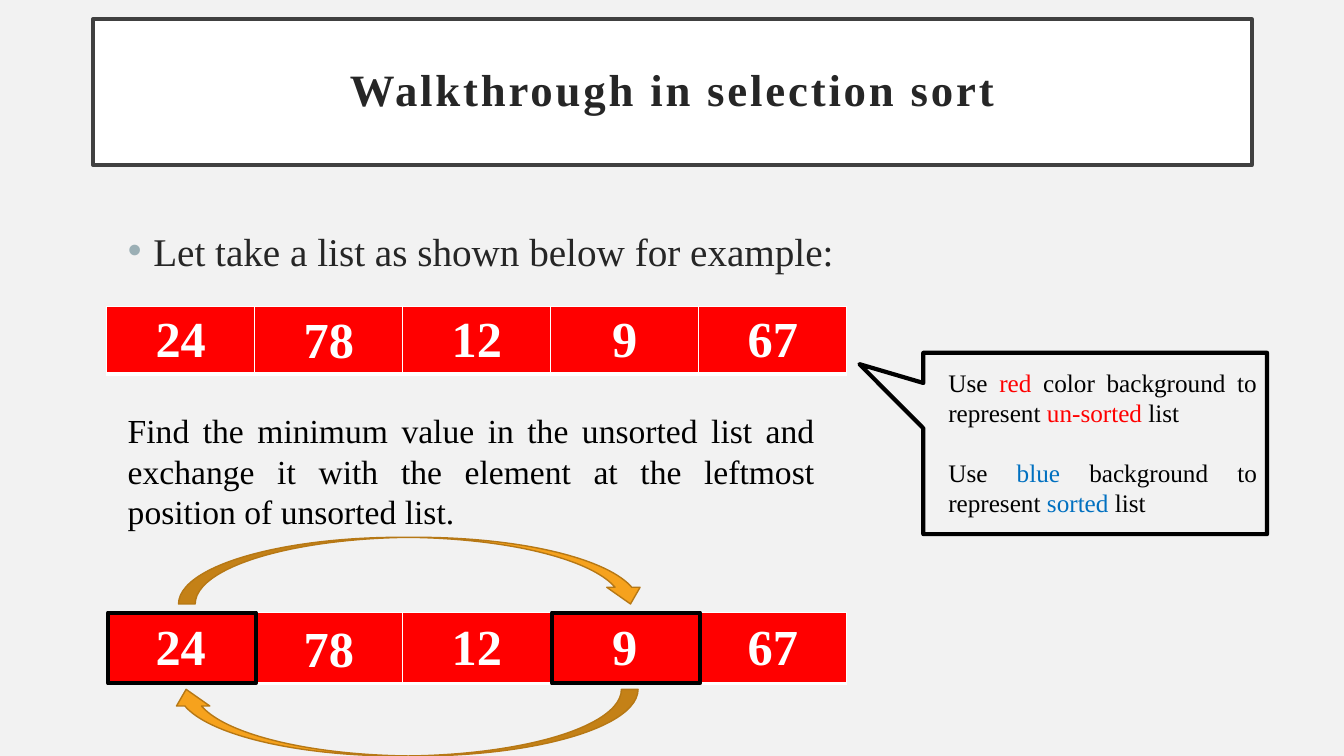
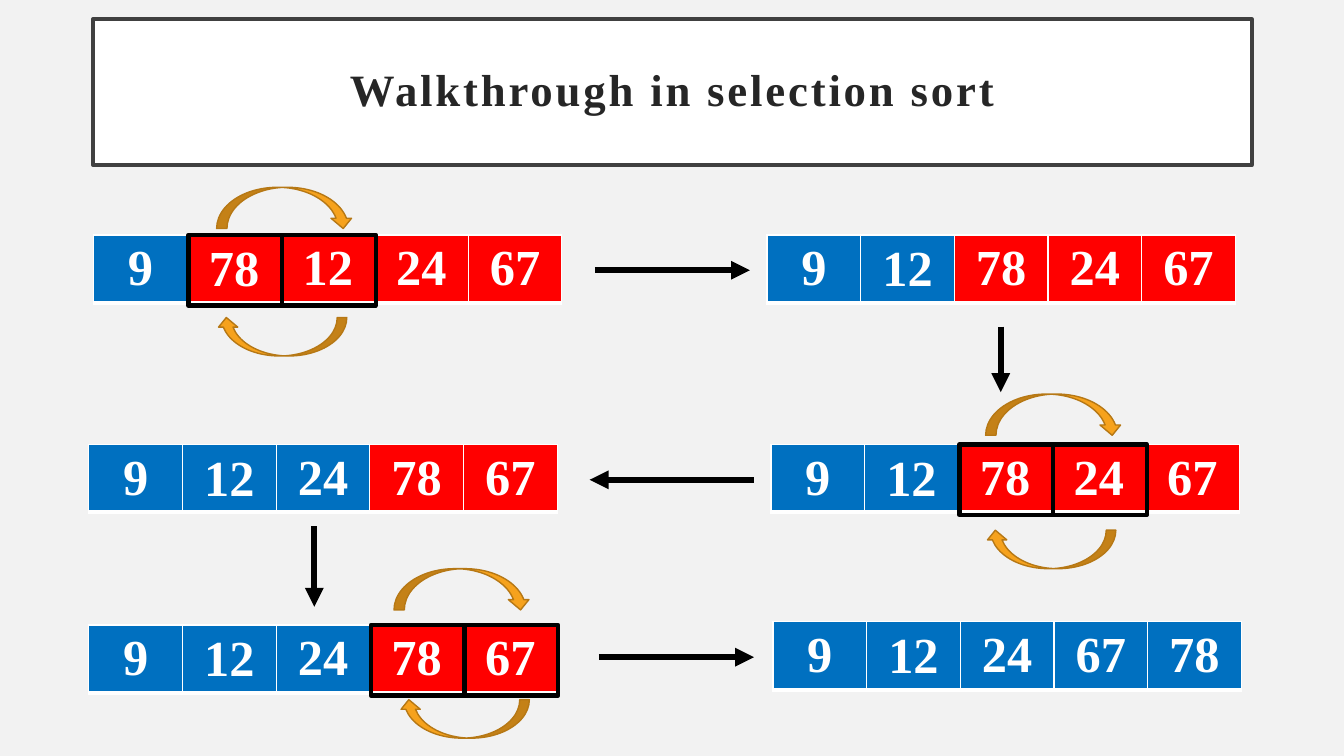
from lxml import etree
from pptx import Presentation
from pptx import util as u
from pptx.dml.color import RGBColor
from pptx.enum import shapes, text
from pptx.oxml.ns import qn

# Shared look (lengths in cm)
FONT = "Times New Roman"
PAPER, WHITE, BLACK, INK = "F2F2F2", "FFFFFF", "000000", "262626"
TITLE_EDGE, BULLET = "404040", "9BAFB5"
RED, BLUE = "FF0000", "0070C0"
SWAP_FILL, SWAP_EDGE = "F6A21D", "B67815"
TITLE = "Walkthrough in selection sort"
TITLE_BOX = (2.34, 0.48, 29.21, 3.68)
FRAME_HEIGHT, FRAME_SHIFT = 1.78, 0.03

# Slide 1 content
INTRO = "Let take a list as shown below for example:"
INTRO_BOX = (2.97, 5.59, 21.46, 8.61)
STEP = [[("Find the minimum value in the unsorted list and exchange it with the "
          "element at the leftmost position of unsorted list.", BLACK)]]
STEP_BOX = (2.97, 10.21, 17.81, 3.33)
LEGEND = [
    [("Use ", BLACK), ("red", RED), (" color background to represent ", BLACK),
     ("un-sorted", RED), (" list", BLACK)],
    [("Use ", BLACK), ("blue", BLUE), (" background to represent ", BLACK),
     ("sorted", BLUE), (" list", BLACK)],
]
LEGEND_BOX = (23.65, 9.12, 8.28, 4.11)
CALLOUT_BOX = (23.27, 8.89, 8.66, 4.57)
CALLOUT_TIP = (-0.686, -0.437)

# Lists: values, sorted count, left, top, framed cells, swap arrow boxes
START_CELL = (3.73, 1.71)
EXCHANGE_CELL = (3.73, 1.78)
START = ([24, 78, 12, 9, 67], 0, 2.69, 7.72, (), ())
EXCHANGE = ([24, 78, 12, 9, 67], 0, 2.69, 15.44, (0, 3),
            ((4.5, 13.54, 11.81, 1.68), (4.27, 17.37, 11.81, 1.68)))

# Slide 2 content
PASS_CELL = (2.36, 1.71)
PASSES = [
    ([9, 78, 12, 24, 67], 1, 2.36, 5.92, (1, 2),
     ((5.46, 4.72, 3.45, 1.04), (5.46, 8, 3.28, 0.97))),
    ([9, 12, 78, 24, 67], 2, 19.33, 5.92, (), ()),
    ([9, 12, 78, 24, 67], 2, 19.43, 11.2, (2, 3),
     ((24.84, 9.93, 3.45, 1.04), (24.84, 13.36, 3.28, 0.97))),
    ([9, 12, 24, 78, 67], 3, 2.24, 11.2, (), ()),
    ([9, 12, 24, 78, 67], 3, 2.24, 15.75, (3, 4),
     ((9.93, 14.33, 3.45, 1.04), (10.06, 17.63, 3.28, 0.97))),
    ([9, 12, 24, 67, 78], 5, 19.48, 15.67, (), ()),
]
NEXT_STEPS = [
    (14.99, 6.81, 18.9, 6.81),
    (25.22, 8.23, 25.22, 9.88),
    (19, 12.09, 14.86, 12.09),
    (7.92, 13.26, 7.92, 15.29),
    (15.09, 16.56, 19, 16.56),
]


def rgb(value):
    return RGBColor.from_string(value)


def cm(values):
    return [u.Cm(v) for v in values]


def apply(target, **values):
    for name, value in values.items():
        setattr(target, name, value)


def place(shape, box):
    apply(shape, **dict(zip(("left", "top", "width", "height"), cm(box))))


def add_xml(parent, tag, **attributes):
    return etree.SubElement(parent, qn(tag), attributes)


def fill(target, color):
    target.fill.solid()
    target.fill.fore_color.rgb = rgb(color)


def outline(shape, color, points):
    shape.line.color.rgb = rgb(color)
    shape.line.width = u.Pt(points)


def add_run(paragraph, words, size, color, bold=False):
    run = paragraph.add_run()
    run.text = words
    apply(run.font, name=FONT, size=u.Pt(size), bold=bold)
    run.font.color.rgb = rgb(color)
    return run


def add_title(slide):
    title = slide.shapes.title
    place(title, TITLE_BOX)
    fill(title, WHITE)
    outline(title, TITLE_EDGE, 2.5)
    frame = title.text_frame
    inset = u.Cm(0.51)
    apply(frame, word_wrap=True, auto_size=text.MSO_AUTO_SIZE.NONE,
          vertical_anchor=text.MSO_ANCHOR.MIDDLE, margin_left=inset,
          margin_right=inset, margin_top=inset, margin_bottom=inset)
    heading = frame.paragraphs[0]
    apply(heading, alignment=text.PP_ALIGN.CENTER, line_spacing=0.9)
    run = add_run(heading, TITLE, 32, INK, bold=True)
    run.font._element.set("spc", "200")


def add_intro(slide):
    intro = slide.placeholders[1]
    place(intro, INTRO_BOX)
    intro.text_frame.auto_size = text.MSO_AUTO_SIZE.NONE
    line = intro.text_frame.paragraphs[0]
    line.space_before = u.Pt(10)
    props = line._p.get_or_add_pPr()
    props.set("marL", str(u.Cm(0.64)))
    props.set("indent", str(-u.Cm(0.64)))
    add_xml(add_xml(props, "a:buClr"), "a:srgbClr", val=BULLET)
    add_xml(props, "a:buFont", typeface="Arial")
    add_xml(props, "a:buChar", char="•")
    add_run(line, INTRO, 28, INK)


def add_text(slide, box, paragraphs, size, gap=0):
    frame = slide.shapes.add_textbox(*cm(box)).text_frame
    frame.word_wrap = True
    for i, runs in enumerate(paragraphs):
        line = frame.add_paragraph() if i else frame.paragraphs[0]
        apply(line, alignment=text.PP_ALIGN.JUSTIFY, space_before=u.Pt(gap if i else 0))
        for words, color in runs:
            add_run(line, words, size, color)


def add_shape(slide, kind, box, edge, points, color=None):
    shape = slide.shapes.add_shape(kind, *cm(box))
    shape.shadow.inherit = False
    outline(shape, edge, points)
    if color:
        fill(shape, color)
    else:
        shape.fill.background()
    return shape


def add_borders(cell):
    props = cell._tc.get_or_add_tcPr()
    for side, points in zip("LRTB", (1, 1, 1, 3)):
        border = add_xml(props, "a:ln" + side, w=str(u.Pt(points)))
        add_xml(add_xml(border, "a:solidFill"), "a:srgbClr", val=WHITE)


def add_list(slide, entry, cell_size):
    values, sorted_count, left, top, framed, swaps = entry
    width, height = cell_size
    box = (left, top, width * len(values), height)
    table = slide.shapes.add_table(1, len(values), *cm(box)).table
    apply(table, first_row=False, horz_banding=False)
    for i, value in enumerate(values):
        table.columns[i].width = u.Cm(width)
        cell = table.cell(0, i)
        cell.vertical_anchor = text.MSO_ANCHOR.BOTTOM if i == 1 else text.MSO_ANCHOR.MIDDLE
        add_borders(cell)
        fill(cell, BLUE if i < sorted_count else RED)
        number = cell.text_frame.paragraphs[0]
        number.alignment = text.PP_ALIGN.CENTER
        add_run(number, str(value), 36, WHITE, bold=True)

    # Frames around the pair to exchange, arrows above and below it
    for i in framed:
        add_shape(slide, shapes.MSO_SHAPE.RECTANGLE,
                  (left + FRAME_SHIFT + i * width, top, width, FRAME_HEIGHT), BLACK, 3)
    for rotation, swap_box in zip((0, 180), swaps):
        swap = add_shape(slide, shapes.MSO_SHAPE.CURVED_DOWN_ARROW, swap_box,
                         SWAP_EDGE, 1, SWAP_FILL)
        swap.rotation = rotation


def add_arrow(slide, ends):
    arrow = slide.shapes.add_connector(shapes.MSO_CONNECTOR.STRAIGHT, *cm(ends))
    outline(arrow, BLACK, 4.5)
    add_xml(arrow.line._get_or_add_ln(), "a:tailEnd", type="triangle")
    add_xml(arrow._element.spPr, "a:effectLst")


def main():
    deck = Presentation()
    apply(deck, slide_width=u.Cm(33.87), slide_height=u.Cm(19.05))
    fill(deck.slide_master.background, PAPER)

    # Slide 1: the list and its first exchange
    first = deck.slides.add_slide(deck.slide_layouts[1])
    add_title(first)
    add_intro(first)
    add_list(first, START, START_CELL)
    callout = add_shape(first, shapes.MSO_SHAPE.RECTANGULAR_CALLOUT, CALLOUT_BOX, BLACK, 3)
    for i, offset in enumerate(CALLOUT_TIP):
        callout.adjustments[i] = offset
    add_text(first, LEGEND_BOX, LEGEND, 18, gap=21.5)
    add_text(first, STEP_BOX, STEP, 24)
    add_list(first, EXCHANGE, EXCHANGE_CELL)

    # Slide 2: the remaining passes
    second = deck.slides.add_slide(deck.slide_layouts[5])
    add_title(second)
    for entry in PASSES:
        add_list(second, entry, PASS_CELL)
    for ends in NEXT_STEPS:
        add_arrow(second, ends)

    deck.save("out.pptx")


if __name__ == "__main__":
    main()
